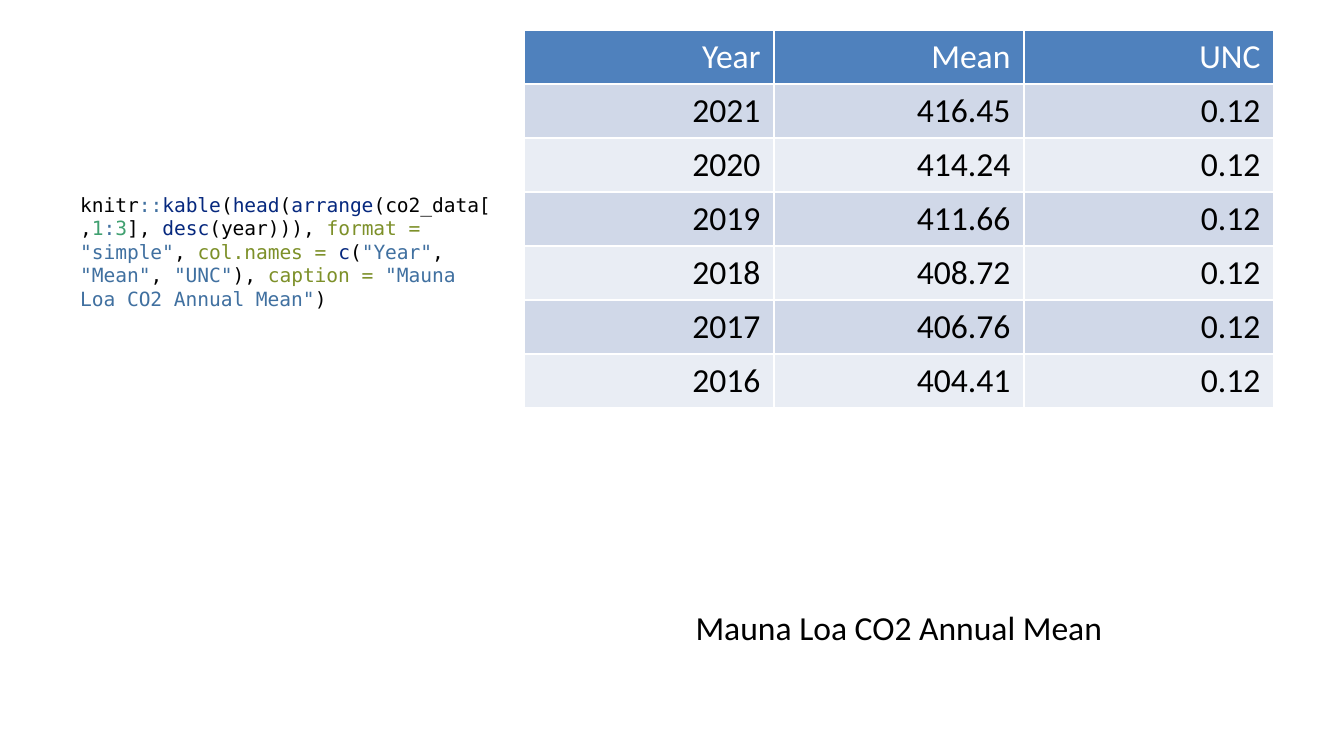
from lxml import etree
from pptx import Presentation
from pptx.dml.color import RGBColor as Rgb
from pptx.enum.text import MSO_ANCHOR as Anchor, PP_ALIGN as Align
from pptx.oxml.ns import qn
from pptx.util import Emu, Pt

EMU_PER_PX = 914400 / 134.4
SANS, MONO = "Calibri", "DejaVu Sans Mono"
COLORS = {
    "text": "000000", "white": "FFFFFF",
    "header": "4F81BD", "odd_row": "D0D8E8", "even_row": "E9EDF4",
    "function": "06287E", "string": "4070A0", "number": "40A070",
    "argument": "7D9029",
}

CODE = [
    ("knitr", "text"), ("::", "string"), ("kable", "function"), ("(", "text"),
    ("head", "function"), ("(", "text"), ("arrange", "function"),
    ("(co2_data[,", "text"), ("1", "number"), (":", "string"), ("3", "number"),
    ("], ", "text"), ("desc", "function"), ("(year))), ", "text"),
    ("format = ", "argument"), ('"simple"', "string"), (", ", "text"),
    ("col.names = ", "argument"), ("c", "function"), ("(", "text"),
    ('"Year"', "string"), (", ", "text"), ('"Mean"', "string"), (", ", "text"),
    ('"UNC"', "string"), ("), ", "text"), ("caption = ", "argument"),
    ('"Mauna Loa CO2 Annual Mean"', "string"), (")", "text"),
]
ROWS = [
    ("Year", "Mean", "UNC"),
    ("2021", "416.45", "0.12"),
    ("2020", "414.24", "0.12"),
    ("2019", "411.66", "0.12"),
    ("2018", "408.72", "0.12"),
    ("2017", "406.76", "0.12"),
    ("2016", "404.41", "0.12"),
]


def px(length):
    return Emu(round(length * EMU_PER_PX))


def add_span(para, text, font=SANS, size=18, color="text"):
    span = para.add_run()
    span.text = text
    span.font.name = font
    span.font.size = Pt(size)
    span.font.color.rgb = Rgb.from_string(COLORS[color])


def add_box(page, left, top, width, height, spans, align=Align.LEFT,
            inset_top=7, **style):
    box = page.shapes.add_textbox(px(left), px(top), px(width), px(height))
    frame = box.text_frame
    frame.word_wrap = True
    frame.vertical_anchor = Anchor.TOP
    frame.margin_top = px(inset_top)
    para = frame.paragraphs[0]
    para.alignment = align
    for text, color in spans:
        add_span(para, text, color=color, **style)


def set_borders(cell, color, width):
    properties = cell._tc.get_or_add_tcPr()
    for side in ("a:lnL", "a:lnR", "a:lnT", "a:lnB"):
        line = etree.SubElement(properties, qn(side), w=str(Pt(width)))
        fill = etree.SubElement(line, qn("a:solidFill"))
        etree.SubElement(fill, qn("a:srgbClr"), val=COLORS[color])


def fill_cell(cell, text, fill, color):
    set_borders(cell, "white", 1)
    cell.fill.solid()
    cell.fill.fore_color.rgb = Rgb.from_string(COLORS[fill])
    para = cell.text_frame.paragraphs[0]
    para.alignment = Align.RIGHT
    add_span(para, text, color=color)


def add_data_table(page, left, top, column_width, row_height, rows):
    columns = len(rows[0])
    table = page.shapes.add_table(
        len(rows), columns, px(left), px(top),
        px(column_width * columns), px(row_height * len(rows))).table
    for number, row in enumerate(rows):
        if number == 0:
            fill, color = "header", "white"
        else:
            fill, color = ("odd_row" if number % 2 else "even_row"), "text"
        for column, text in enumerate(row):
            fill_cell(table.cell(number, column), text, fill, color)


def main():
    deck = Presentation()
    deck.slide_width, deck.slide_height = px(1344), px(756)
    page = deck.slides.add_slide(deck.slide_layouts[6])

    # Code listing
    add_box(page, 67, 158, 442, 518, CODE, inset_top=35, font=MONO, size=10.5)

    # Annual means
    add_data_table(page, 524, 30, 250, 54, ROWS)

    # Table caption
    add_box(page, 524, 600, 750, 75, [("Mauna Loa CO2 Annual Mean", "text")],
            align=Align.CENTER)

    deck.save("out.pptx")


main()
